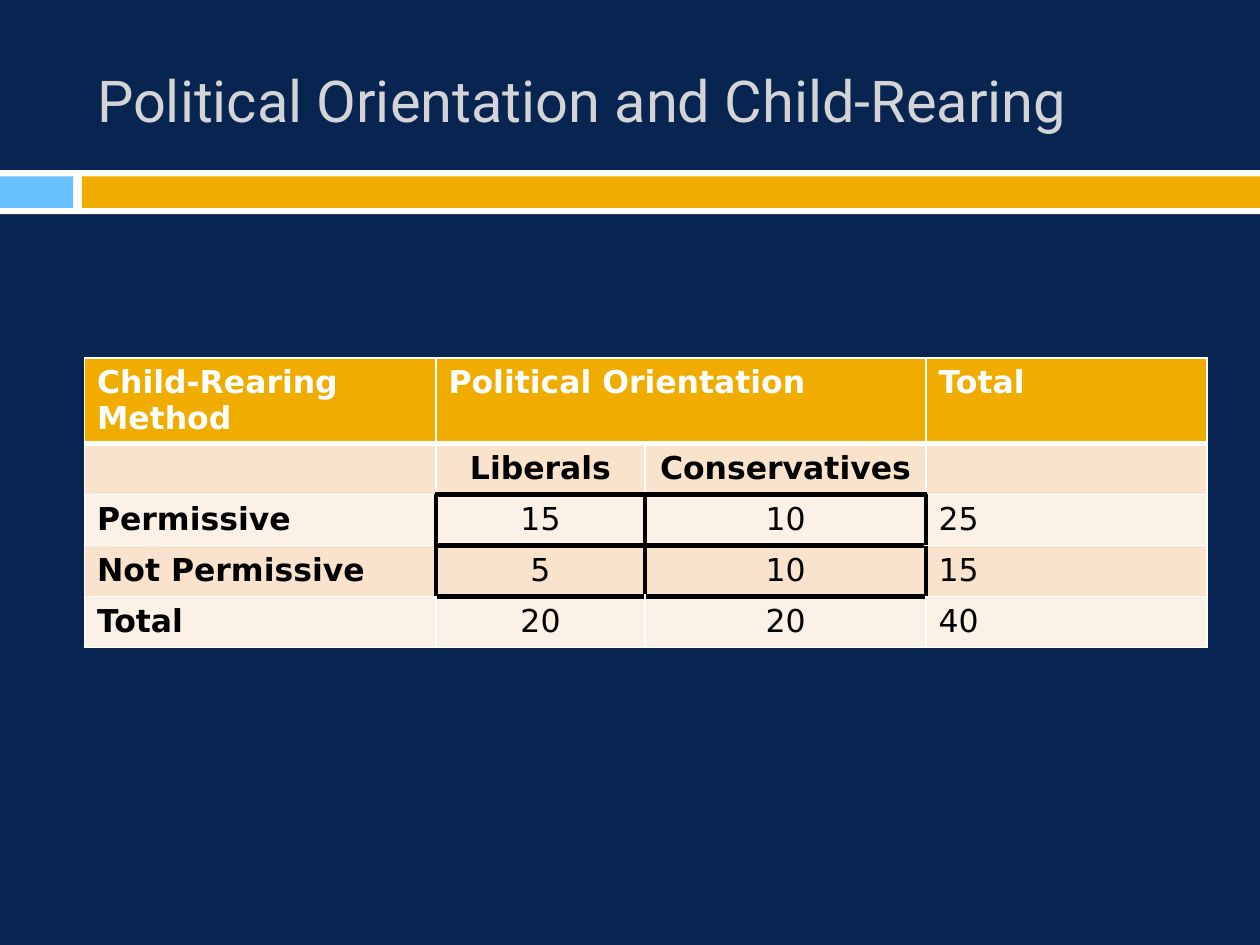
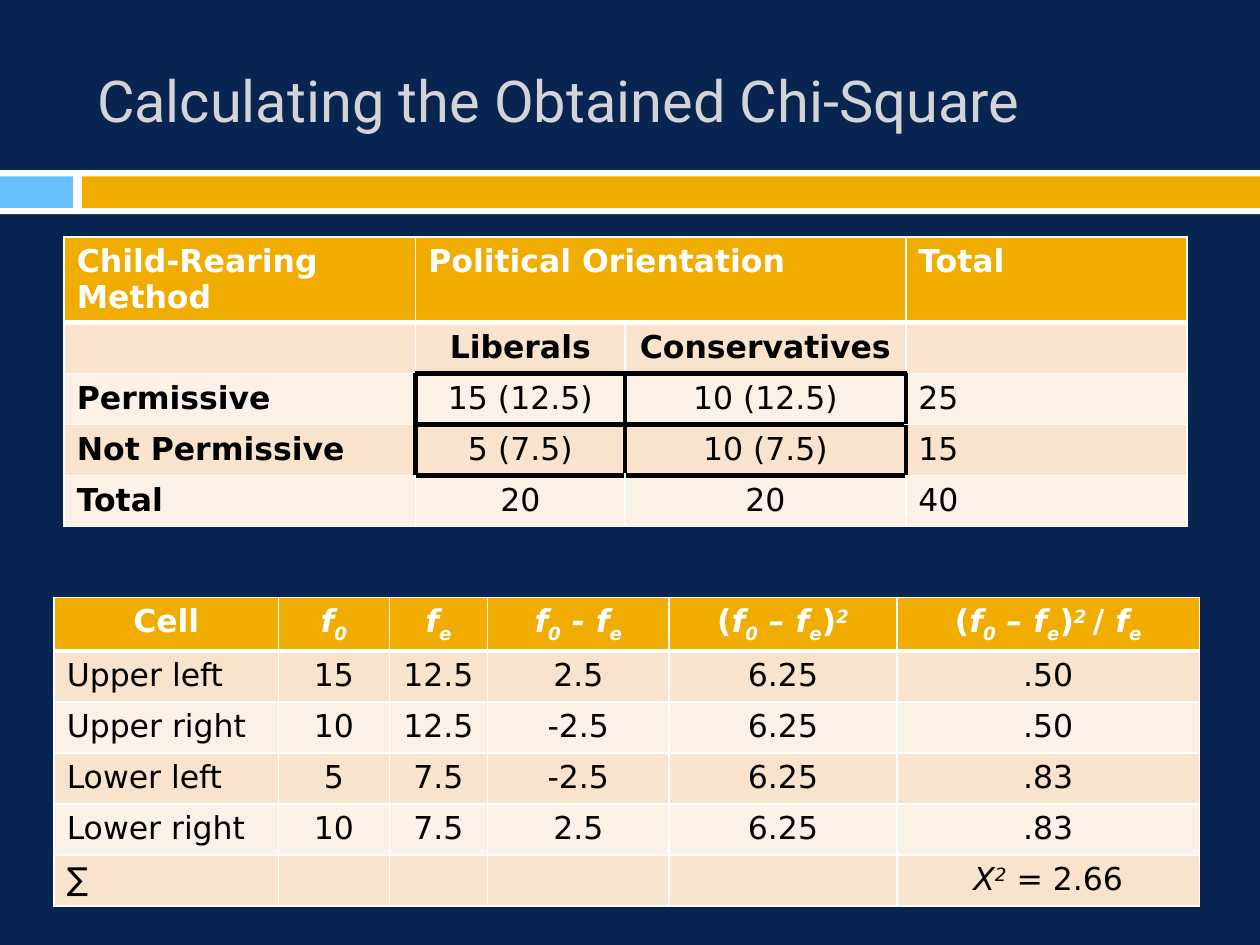
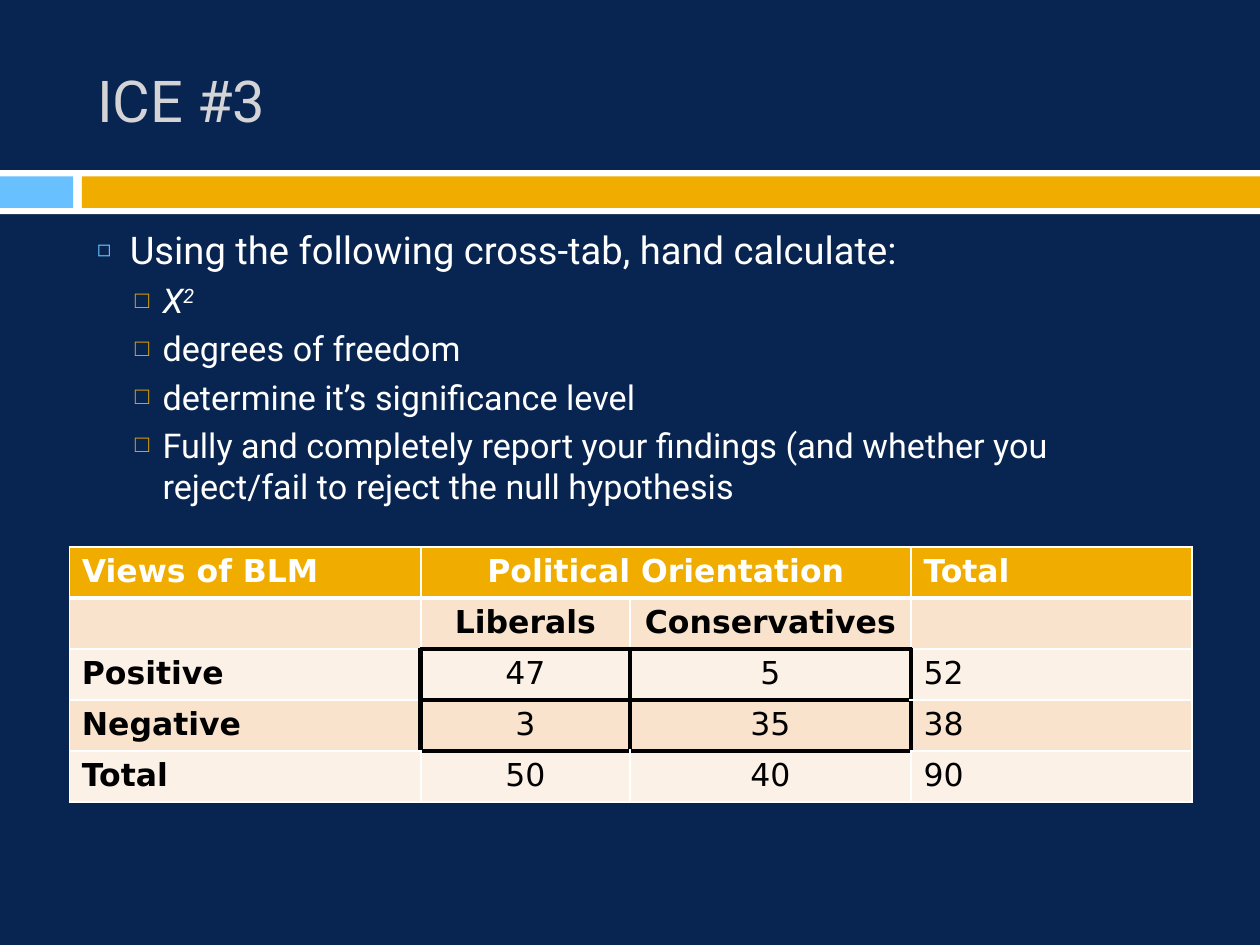
from dataclasses import dataclass
from typing import NamedTuple

from lxml import etree
from pptx import Presentation
from pptx.dml.color import RGBColor
from pptx.enum.shapes import MSO_SHAPE
from pptx.enum.text import MSO_ANCHOR, MSO_AUTO_SIZE, PP_ALIGN
from pptx.oxml.ns import qn
from pptx.util import Inches, Pt

RECTANGLE = MSO_SHAPE.RECTANGLE
MIDDLE = MSO_ANCHOR.MIDDLE
NO_AUTOFIT = MSO_AUTO_SIZE.NONE
LEFT, CENTER = PP_ALIGN.LEFT, PP_ALIGN.CENTER

NAVY = RGBColor(0x08, 0x25, 0x51)
AMBER = RGBColor(0xF0, 0xAD, 0x00)
SKY = RGBColor(0x69, 0xC0, 0xFF)
WHITE = RGBColor(0xFF, 0xFF, 0xFF)
BLACK = RGBColor(0x00, 0x00, 0x00)
TITLE_GRAY = RGBColor(0xD4, 0xD4, 0xD6)
PEACH = RGBColor(0xF9, 0xE3, 0xCC)
CREAM = RGBColor(0xFC, 0xF1, 0xE7)

SLIDE_FONT, TABLE_FONT = "Roboto", "DejaVu Sans"
TITLE_ONLY, TITLE_AND_CONTENT = 5, 1
TEXT_LEFT, TEXT_WIDTH = 0.67, 8.92
ROW_HEIGHT = 0.405
TALL_HEADER = 0.67
CROSSTAB_WIDTHS = (2.79, 1.66, 2.23, 2.23)
CHI_WIDTHS = (1.78, 0.88, 0.78, 1.44, 1.81, 2.4)
# Border tag, then the row and column step to the neighbour on that side
SIDES = (("a:lnL", 0, -1), ("a:lnR", 0, 1), ("a:lnT", -1, 0), ("a:lnB", 1, 0))


class Run(NamedTuple):
    text: str
    italic: bool = False
    baseline: int = 0


class Band(NamedTuple):
    left: float
    top: float
    width: float
    height: float
    color: RGBColor


class BulletLevel(NamedTuple):
    symbol: str
    color: RGBColor
    percent: int
    margin: float
    hanging: float
    size: float
    space_before: float


Content = str | tuple[Run, ...]

BANDS = (
    Band(0, 1.35, 10, 0.35, WHITE),
    Band(0, 1.4, 0.58, 0.25, SKY),
    Band(0.65, 1.4, 9.35, 0.25, AMBER),
)
BULLET_LEVELS = (
    BulletLevel("◻", SKY, 60, 0.26, 0.26, 21.8, 5.2),
    BulletLevel("□", AMBER, 70, 0.52, 0.22, 19.5, 4.1),
)


@dataclass(frozen=True)
class Grid:
    left: float
    top: float
    widths: tuple[float, ...]
    rows: tuple[tuple[Content, ...], ...]
    centered_columns: tuple[int, ...]
    centered_headers: tuple[int, ...] = ()
    header_height: float = ROW_HEIGHT
    is_crosstab: bool = False

    def is_observed(self, row: int, column: int) -> bool:
        """Tell whether the cell is one of the four framed counts."""
        return self.is_crosstab and row in (2, 3) and column in (1, 2)

    def is_bold(self, row: int, column: int) -> bool:
        return row == 0 or self.is_crosstab and (row == 1 or column == 0)


def write(paragraph, content: Content, *, size: float, font: str, color: RGBColor,
          bold: bool = False, align: PP_ALIGN = LEFT) -> None:
    paragraph.alignment = align
    for part in (Run(content),) if isinstance(content, str) else content:
        run = paragraph.add_run()
        run.text = part.text
        run.font.size = Pt(size)
        run.font.name = font
        run.font.bold = bold
        run.font.italic = part.italic
        run.font.color.rgb = color
        if part.baseline:
            run._r.get_or_add_rPr().set("baseline", str(part.baseline * 1000))


def place(shape, left: float, top: float, width: float, height: float) -> None:
    shape.left, shape.top = Inches(left), Inches(top)
    shape.width, shape.height = Inches(width), Inches(height)


def add_slide(prs, layout: int, title: str):
    slide = prs.slides.add_slide(prs.slide_layouts[layout])
    for band in BANDS:
        bar = slide.shapes.add_shape(RECTANGLE, Inches(band.left), Inches(band.top),
                                     Inches(band.width), Inches(band.height))
        bar.shadow.inherit = False
        bar.fill.solid()
        bar.fill.fore_color.rgb = band.color
        bar.line.fill.background()
    heading = slide.shapes.title
    place(heading, TEXT_LEFT, 0.25, TEXT_WIDTH, 1.08)
    heading.text_frame.auto_size = NO_AUTOFIT
    heading.text_frame.vertical_anchor = MIDDLE
    write(heading.text_frame.paragraphs[0], title, size=33, font=SLIDE_FONT, color=TITLE_GRAY)
    return slide


def add_border(cell, tag: str, color: RGBColor, points: float) -> None:
    border = etree.SubElement(cell._tc.get_or_add_tcPr(), qn(tag), w=str(Pt(points)))
    fill = etree.SubElement(border, qn("a:solidFill"))
    etree.SubElement(fill, qn("a:srgbClr"), val=str(color))


def style_cell(cell, grid: Grid, row: int, column: int) -> None:
    for tag, down, across in SIDES:
        neighbor = (row + down, column + across)
        if grid.is_observed(row, column) or grid.is_observed(*neighbor):
            add_border(cell, tag, BLACK, 3)
        else:
            under_header = {row, neighbor[0]} == {0, 1}
            add_border(cell, tag, WHITE, 3 if under_header else 1)
    cell.fill.solid()
    cell.fill.fore_color.rgb = AMBER if row == 0 else PEACH if row % 2 else CREAM


def draw_grid(slide, grid: Grid) -> None:
    heights = [grid.header_height] + [ROW_HEIGHT] * (len(grid.rows) - 1)
    table = slide.shapes.add_table(
        len(heights), len(grid.widths), Inches(grid.left), Inches(grid.top),
        Inches(sum(grid.widths)), Inches(sum(heights))).table
    for table_column, width in zip(table.columns, grid.widths):
        table_column.width = Inches(width)
    for table_row, height in zip(table.rows, heights):
        table_row.height = Inches(height)
    if grid.is_crosstab:
        table.cell(0, 1).merge(table.cell(0, 2))
    for row, contents in enumerate(grid.rows):
        centered = grid.centered_columns if row else grid.centered_headers
        for column, content in enumerate(contents):
            cell = table.cell(row, column)
            style_cell(cell, grid, row, column)
            if content:
                write(cell.text_frame.paragraphs[0], content, size=18, font=TABLE_FONT,
                      color=BLACK if row else WHITE, bold=grid.is_bold(row, column),
                      align=CENTER if column in centered else LEFT)


def crosstab(left: float, top: float, topic: str, *counts: tuple[str, ...],
             header_height: float = ROW_HEIGHT,
             centered_headers: tuple[int, ...] = ()) -> Grid:
    headings = ((topic, "Political Orientation", "", "Total"),
                ("", "Liberals", "Conservatives", ""))
    return Grid(left, top, CROSSTAB_WIDTHS, headings + counts, (1, 2),
                centered_headers, header_height, is_crosstab=True)


def chi_square_grid() -> Grid:
    f, sub_0, sub_e = Run("f", True), Run("0", True, -25), Run("e", True, -25)
    squared = (Run("("), f, sub_0, Run(" – f", True), sub_e, Run(")"))
    rows = (
        ("Cell", (f, sub_0), (f, sub_e), (f, sub_0, Run(" - f", True), sub_e),
         squared + (Run("2", True, 30),),
         squared + (Run("2 ", True, 30), Run("/ "), f, sub_e)),
        ("Upper left", "15", "12.5", "2.5", "6.25", ".50"),
        ("Upper right", "10", "12.5", "-2.5", "6.25", ".50"),
        ("Lower left", "5", "7.5", "-2.5", "6.25", ".83"),
        ("Lower right", "10", "7.5", "2.5", "6.25", ".83"),
        ("∑", "", "", "", "", (Run("X", True), Run("2", True, 30), Run(" = 2.66"))),
    )
    return Grid(0.43, 4.74, CHI_WIDTHS, rows, tuple(range(1, 6)), tuple(range(6)))


def add_bullet(paragraph, level: int, content: Content) -> None:
    style = BULLET_LEVELS[level]
    paragraph.level = level
    paragraph.space_before = Pt(style.space_before)
    write(paragraph, content, size=style.size, font=SLIDE_FONT, color=WHITE)
    properties = paragraph._p.get_or_add_pPr()
    properties.set("marL", str(Inches(style.margin)))
    properties.set("indent", str(-Inches(style.hanging)))
    color = etree.SubElement(properties, qn("a:buClr"))
    etree.SubElement(color, qn("a:srgbClr"), val=str(style.color))
    etree.SubElement(properties, qn("a:buSzPct"), val=str(style.percent * 1000))
    etree.SubElement(properties, qn("a:buChar"), char=style.symbol)


def fill_body(slide, bullets: tuple[tuple[int, Content], ...]) -> None:
    body = slide.placeholders[1]
    place(body, TEXT_LEFT, 1.75, TEXT_WIDTH, 4.92)
    frame = body.text_frame
    frame.auto_size = NO_AUTOFIT
    for index, (level, content) in enumerate(bullets):
        add_bullet(frame.add_paragraph() if index else frame.paragraphs[0], level, content)


def main() -> None:
    prs = Presentation()
    prs.slide_width, prs.slide_height = Inches(10), Inches(7.5)
    backdrop = prs.slide_master.background.fill
    backdrop.solid()
    backdrop.fore_color.rgb = NAVY

    orientation = add_slide(prs, TITLE_ONLY, "Political Orientation and Child-Rearing")
    draw_grid(orientation, crosstab(
        0.67, 2.84, "Child-Rearing Method",
        ("Permissive", "15", "10", "25"),
        ("Not Permissive", "5", "10", "15"),
        ("Total", "20", "20", "40"), header_height=TALL_HEADER))

    calculation = add_slide(prs, TITLE_ONLY, "Calculating the Obtained Chi-Square")
    draw_grid(calculation, crosstab(
        0.51, 1.88, "Child-Rearing Method",
        ("Permissive", "15 (12.5)", "10 (12.5)", "25"),
        ("Not Permissive", "5 (7.5)", "10 (7.5)", "15"),
        ("Total", "20", "20", "40"), header_height=TALL_HEADER))
    draw_grid(calculation, chi_square_grid())

    exercise = add_slide(prs, TITLE_AND_CONTENT, "ICE #3")
    fill_body(exercise, (
        (0, "Using the following cross-tab, hand calculate:"),
        (1, (Run("X", True), Run("2", True, 30))),
        (1, "degrees of freedom"),
        (1, "determine it’s significance level"),
        (1, "Fully and completely report your findings (and whether you "
            "reject/fail to reject the null hypothesis"),
    ))
    draw_grid(exercise, crosstab(
        0.55, 4.34, "Views of BLM",
        ("Positive", "47", "5", "52"),
        ("Negative", "3", "35", "38"),
        ("Total", "50", "40", "90"), centered_headers=(1,)))

    prs.save("out.pptx")


if __name__ == "__main__":
    main()
